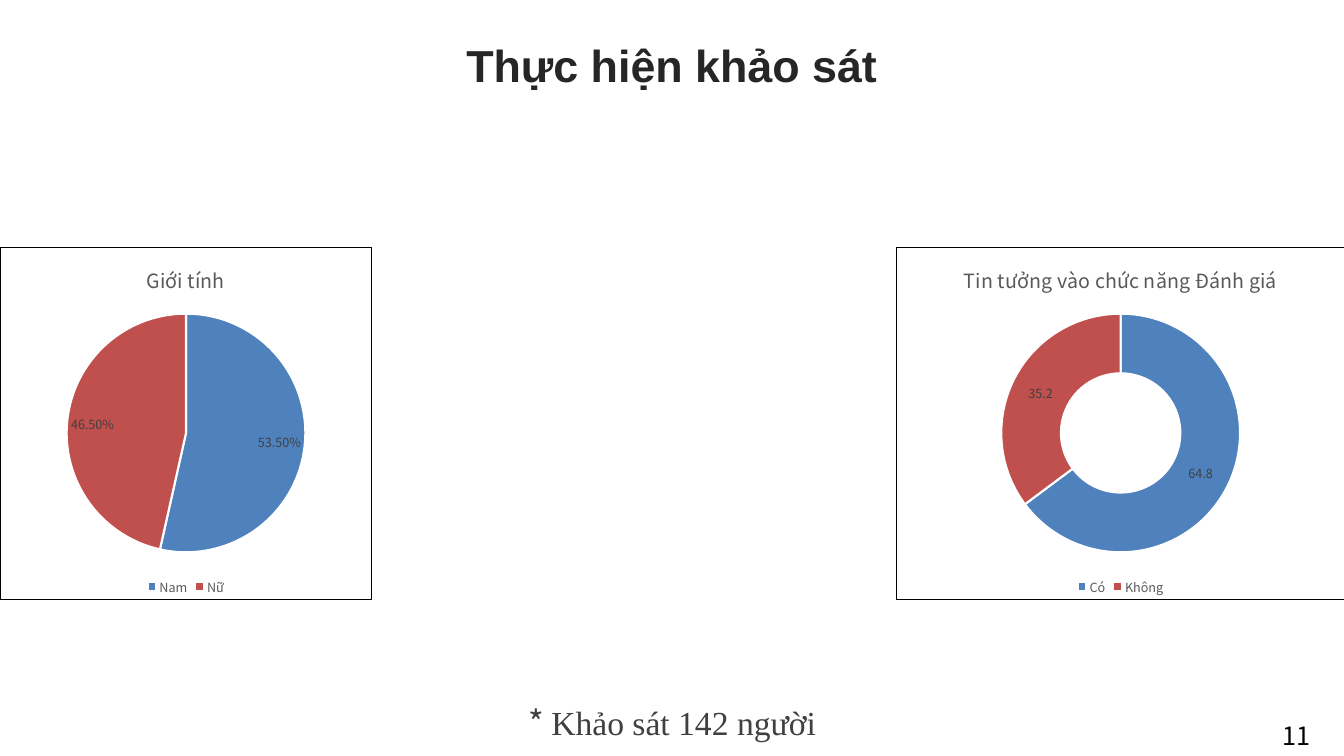
from dataclasses import dataclass

from lxml import etree
from pptx import Presentation
from pptx.chart.data import CategoryChartData
from pptx.dml.color import RGBColor
from pptx.enum.chart import XL_CHART_TYPE, XL_LABEL_POSITION, XL_LEGEND_POSITION
from pptx.enum.text import MSO_ANCHOR, PP_ALIGN
from pptx.oxml import parse_xml
from pptx.oxml.ns import nsdecls, qn
from pptx.util import Inches, Pt

COLORS = {
    "title": "262626",
    "body": "404040",
    "muted": "595959",
    "black": "000000",
    "white": "FFFFFF",
    "blue": "4F81BD",
    "red": "C0504D",
}
SANS = "Noto Sans CJK KR"
CHART_TOP, CHART_HEIGHT = 2.45, 3.5


@dataclass
class Run:
    text: str
    size: float
    font: str
    color: str
    bold: bool = False


@dataclass
class TextBox:
    left: float
    top: float
    width: float
    height: float
    runs: list[Run]
    align: PP_ALIGN = PP_ALIGN.CENTER
    anchor: MSO_ANCHOR = MSO_ANCHOR.MIDDLE


@dataclass
class SurveyChart:
    kind: XL_CHART_TYPE
    left: float
    width: float
    title: str
    answers: dict[str, float]
    number_format: str
    label_position: XL_LABEL_POSITION | None = None
    hole: int | None = None


TEXTS = [
    TextBox(0, 0, 13.33, 1.29, [Run("Thực hiện khảo sát", 32, "Arial", "title", True)]),
    TextBox(0.47, 6.83, 12.39, 0.67, [
        Run("* ", 24, SANS, "body"),
        Run("Khảo sát 142 người", 24, "Times New Roman", "body"),
    ]),
    TextBox(12.62, 7.1, 0.71, 0.4, [Run("11", 18, SANS, "black")],
            PP_ALIGN.LEFT, MSO_ANCHOR.TOP),
]
CHARTS = [
    SurveyChart(XL_CHART_TYPE.DOUGHNUT, 8.89, 4.45, "Tin tưởng vào chức năng Đánh giá",
                {"Có": 64.8, "Không": 35.2}, "General", hole=75),
    SurveyChart(XL_CHART_TYPE.PIE, 0, 3.69, "Giới tính",
                {"Nam": 0.535, "Nữ": 0.465}, "0.00%", XL_LABEL_POSITION.BEST_FIT),
]


def rgb(name: str) -> RGBColor:
    return RGBColor.from_string(COLORS[name])


def set_font(font, size: float, color: str, name: str = SANS, bold: bool = False) -> None:
    font.size, font.name, font.bold = Pt(size), name, bold
    font.color.rgb = rgb(color)


def add_text(slide, box: TextBox) -> None:
    sp = slide.shapes.add_textbox(*map(Inches, (box.left, box.top, box.width, box.height)))
    tf = sp.text_frame
    tf.word_wrap = True
    tf.vertical_anchor = box.anchor
    p = tf.paragraphs[0]
    p.alignment = box.align
    for run in box.runs:
        r = p.add_run()
        r.text = run.text
        set_font(r.font, run.size, run.color, run.font, run.bold)


def frame_chart(chart) -> None:
    frame = parse_xml(
        f'<c:spPr {nsdecls("c", "a")}>'
        f'<a:solidFill><a:srgbClr val="{COLORS["white"]}"/></a:solidFill>'
        f'<a:ln w="{Pt(0.75)}"><a:solidFill><a:srgbClr val="{COLORS["black"]}"/>'
        '</a:solidFill></a:ln></c:spPr>'
    )
    chart.element.find(qn("c:chart")).addnext(frame)


def add_survey_chart(slide, survey: SurveyChart) -> None:
    data = CategoryChartData(number_format=survey.number_format)
    data.categories = list(survey.answers)
    data.add_series(survey.title, list(survey.answers.values()))
    chart = slide.shapes.add_chart(
        survey.kind, Inches(survey.left), Inches(CHART_TOP),
        Inches(survey.width), Inches(CHART_HEIGHT), data).chart
    set_font(chart.font, 10, "black")
    frame_chart(chart)

    chart.has_title = True
    chart.chart_title.include_in_layout = False
    tf = chart.chart_title.text_frame
    tf.text = survey.title
    set_font(tf.paragraphs[0].runs[0].font, 14, "muted")

    chart.has_legend = True
    chart.legend.position = XL_LEGEND_POSITION.BOTTOM
    chart.legend.include_in_layout = False
    set_font(chart.legend.font, 9, "muted")

    plot = chart.plots[0]
    plot.vary_by_categories = True
    series = plot.series[0]
    for i, color in enumerate(("blue", "red")):
        fmt = series.points[i].format
        fmt.fill.solid()
        fmt.fill.fore_color.rgb = rgb(color)
        fmt.line.color.rgb = rgb("white")
        fmt.line.width = Pt(1.5)

    labels = series.data_labels
    labels.show_value = True
    labels.show_percentage = False
    labels.number_format = survey.number_format
    labels.number_format_is_linked = False
    set_font(labels.font, 9, "body")
    if survey.label_position is not None:
        labels.position = survey.label_position
    if survey.hole is not None:
        ring = next(chart.element.iter(qn("c:doughnutChart")))
        hole = ring.find(qn("c:holeSize"))
        if hole is None:
            hole = etree.SubElement(ring, qn("c:holeSize"))
        hole.set("val", str(survey.hole))


def main() -> None:
    """Build the survey results slide."""
    prs = Presentation()
    prs.slide_width, prs.slide_height = Inches(13.33), Inches(7.5)
    slide = prs.slides.add_slide(prs.slide_layouts[6])
    for survey in CHARTS:
        add_survey_chart(slide, survey)
    for box in TEXTS:
        add_text(slide, box)
    prs.save("out.pptx")


if __name__ == "__main__":
    main()
